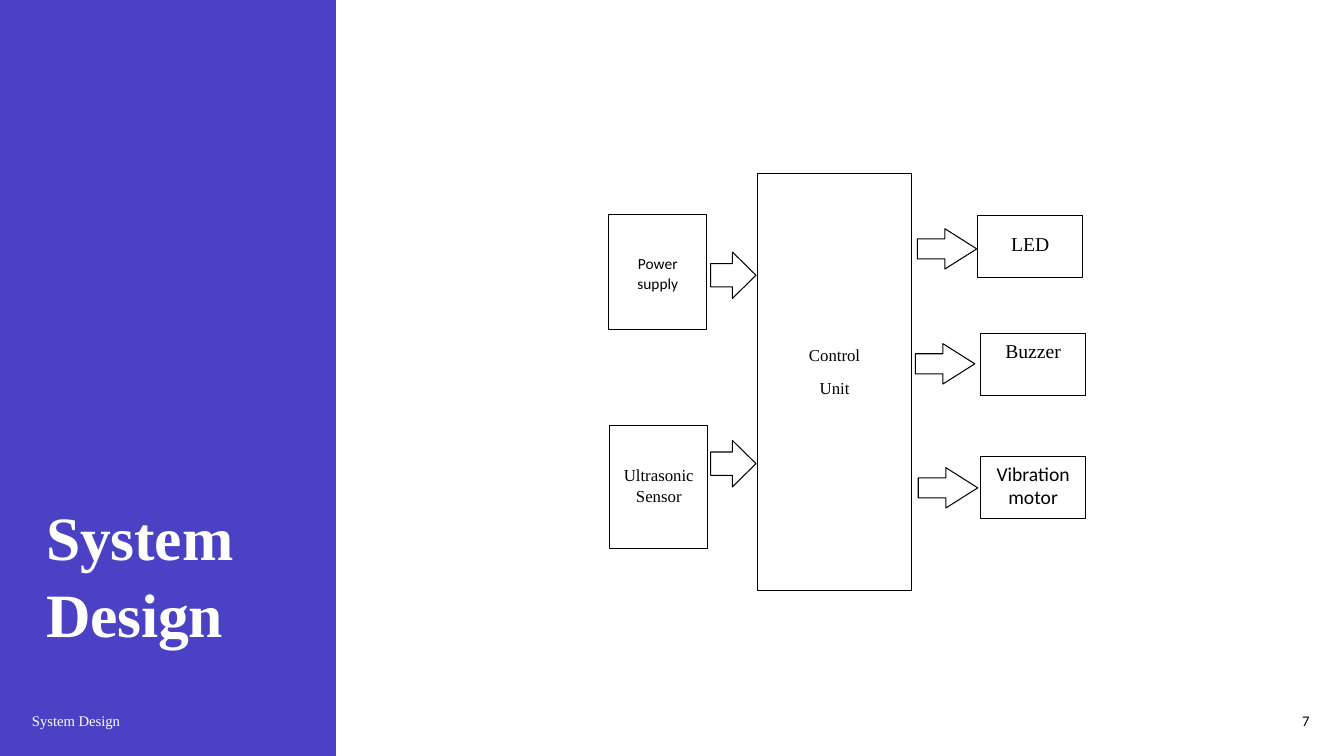
from dataclasses import dataclass

from pptx import Presentation
from pptx.dml.color import RGBColor
from pptx.enum.shapes import MSO_SHAPE
from pptx.enum.text import MSO_ANCHOR, MSO_AUTO_SIZE, PP_ALIGN
from pptx.util import Pt


@dataclass(frozen=True)
class Theme:
    accent: RGBColor = RGBColor(0x4A, 0x41, 0xC5)
    paper: RGBColor = RGBColor(0xFF, 0xFF, 0xFF)
    ink: RGBColor = RGBColor(0x00, 0x00, 0x00)
    serif: str = "Times New Roman"
    sans: str = "Calibri"
    title: float = 44
    output: float = 14
    block: float = 12
    supply: float = 11
    footer: float = 10.5


THEME = Theme()


def write_text(frame, text, *, size, font=THEME.serif, color=THEME.ink, bold=False,
               align=PP_ALIGN.LEFT, anchor=MSO_ANCHOR.TOP, line_spacing=1.0,
               space_after=0, top_margin=3.6, tracking=0):
    frame.word_wrap = True
    frame.auto_size = MSO_AUTO_SIZE.NONE
    frame.vertical_anchor = anchor
    frame.margin_top = Pt(top_margin)
    for index, line in enumerate(text.split("\n")):
        paragraph = frame.paragraphs[0] if index == 0 else frame.add_paragraph()
        paragraph.alignment = align
        paragraph.line_spacing = line_spacing
        paragraph.space_after = Pt(space_after)
        run = paragraph.add_run()
        run.text = line
        run.font.name = font
        run.font.size = Pt(size)
        run.font.bold = bold
        run.font.color.rgb = color
        if tracking:
            run._r.get_or_add_rPr().set("spc", str(round(tracking * 100)))


def add_outlined_shape(slide, kind, left, top, width, height):
    shape = slide.shapes.add_shape(kind, Pt(left), Pt(top), Pt(width), Pt(height))
    shape.shadow.inherit = False
    shape.fill.solid()
    shape.fill.fore_color.rgb = THEME.paper
    shape.line.color.rgb = THEME.ink
    shape.line.width = Pt(0.75)
    return shape


def add_block(slide, text, left, top, width, height, **text_format):
    block = add_outlined_shape(slide, MSO_SHAPE.RECTANGLE, left, top, width, height)
    write_text(block.text_frame, text, align=PP_ALIGN.CENTER, space_after=8, **text_format)


def add_arrow(slide, left, top, width, height, head):
    arrow = add_outlined_shape(slide, MSO_SHAPE.RIGHT_ARROW, left, top, width, height)
    arrow.adjustments[0] = 0.5
    arrow.adjustments[1] = head


def add_label(slide, text, left, width, **text_format):
    label = slide.shapes.add_textbox(Pt(left), Pt(500.4), Pt(width), Pt(28.8))
    write_text(label.text_frame, text, size=THEME.footer, anchor=MSO_ANCHOR.MIDDLE,
               **text_format)


def add_title_panel(slide, text):
    title = slide.shapes.title
    title.left, title.top, title.width, title.height = Pt(26), Pt(69), Pt(179), Pt(399)
    write_text(title.text_frame, text, size=THEME.title, color=THEME.paper, bold=True,
               anchor=MSO_ANCHOR.BOTTOM, line_spacing=1.05, tracking=-0.2)
    panel = slide.shapes.add_shape(MSO_SHAPE.RECTANGLE, Pt(0), Pt(0), Pt(240), Pt(540))
    panel.shadow.inherit = False
    panel.fill.solid()
    panel.fill.fore_color.rgb = THEME.accent
    panel.line.fill.background()
    title.element.addprevious(panel.element)


def add_inputs(slide):
    inputs = [
        ("Power supply", 434.9, 153.4, 82, 180, THEME.supply, THEME.sans),
        ("Ultrasonic Sensor", 435.6, 303.8, 88, 314.6, THEME.block, THEME.serif),
    ]
    for text, left, top, height, arrow_top, size, font in inputs:
        add_block(slide, text, left, top, 70, height, size=size, font=font,
                  line_spacing=1.07, top_margin=27)
        add_arrow(slide, 507.6, arrow_top, 32.4, 33.2, 0.52)


def add_outputs(slide):
    outputs = [
        ("LED", 698.4, 154, 655.2, 163.4, THEME.serif, 1.5),
        ("Buzzer", 700.5, 238.3, 653.8, 245.5, THEME.serif, 1.0),
        ("Vibration motor", 700.5, 326.2, 655.9, 334.1, THEME.sans, 1.0),
    ]
    for text, left, top, arrow_left, arrow_top, font, line_spacing in outputs:
        add_block(slide, text, left, top, 75, 44, size=THEME.output, font=font,
                  line_spacing=line_spacing)
        add_arrow(slide, arrow_left, arrow_top, 42.5, 28.8, 0.79)


def main():
    presentation = Presentation()
    presentation.slide_width, presentation.slide_height = Pt(960), Pt(540)
    slide = presentation.slides.add_slide(presentation.slide_layouts[5])
    add_title_panel(slide, "System Design")
    add_label(slide, "System Design", 15.8, 208, color=THEME.paper)
    add_label(slide, "7", 895, 47.5, font=THEME.sans, align=PP_ALIGN.RIGHT)
    add_block(slide, "Control\nUnit", 541.4, 124.2, 109.6, 297.4, size=THEME.block,
              line_spacing=1.07, top_margin=121)
    add_inputs(slide)
    add_outputs(slide)
    presentation.save("out.pptx")


if __name__ == "__main__":
    main()
